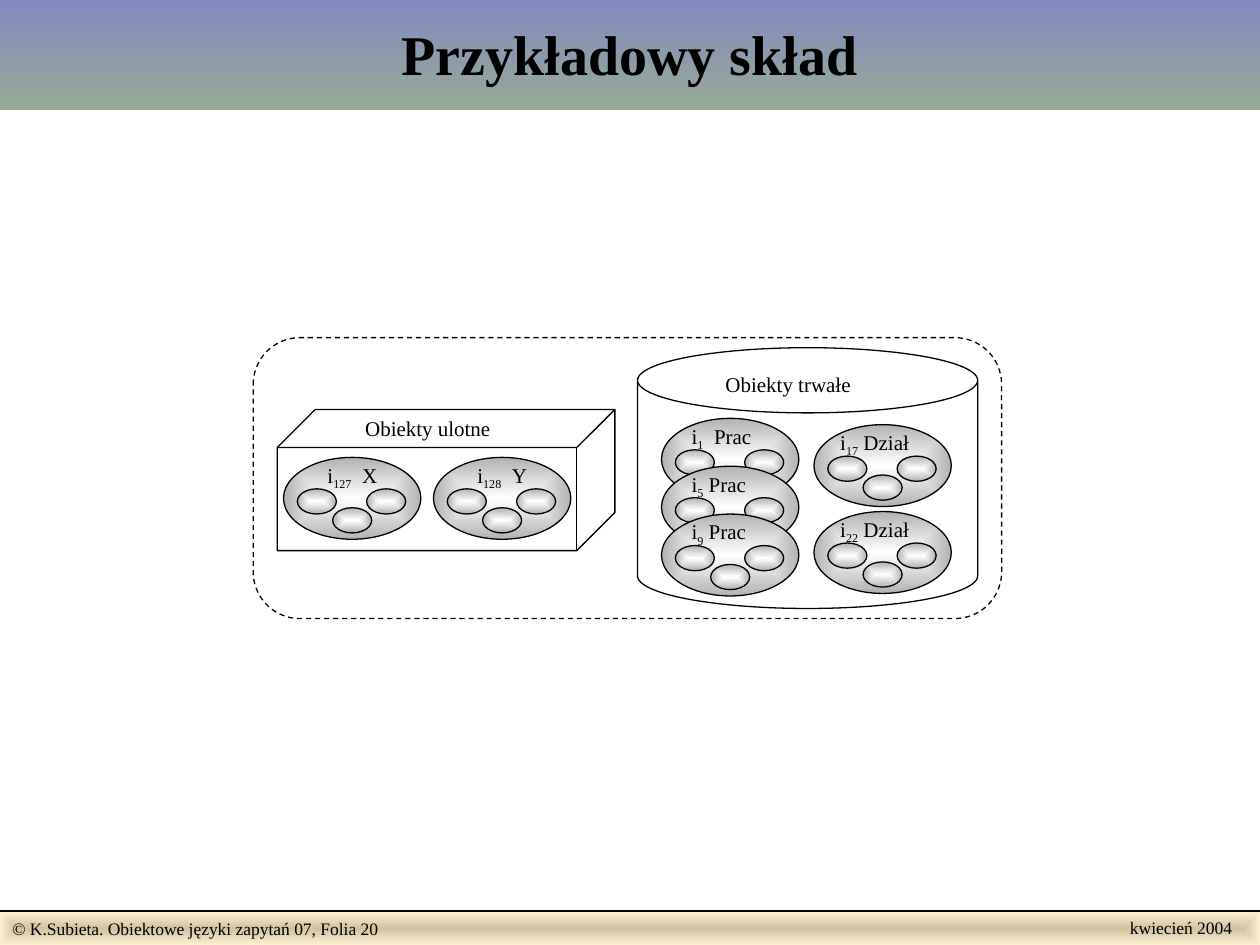
from dataclasses import dataclass

from pptx import Presentation
from pptx import util as u
from pptx.dml.color import RGBColor
from pptx.enum import dml, shapes, text
from pptx.oxml import parse_xml
from pptx.oxml.ns import nsdecls, qn


@dataclass(frozen=True)
class Theme:
    font: str = "Times New Roman"
    ink: str = "000000"
    paper: str = "FFFFFF"
    shade: str = "B2B2B2"
    title_top: str = "8488C4"
    title_bottom: str = "96AB94"
    footer_core: str = "D1C39F"
    footer_edge: str = "FFEFD1"
    title_size: int = 32
    label_size: int = 12
    footer_size: int = 10
    outline: float = 0.75
    rule: float = 1


@dataclass(frozen=True)
class StoredObject:
    """An object in the store; a wide gap separates index and name by twice a space."""
    left: float
    top: float
    index: str
    name: str
    label_offset: float
    label_width: float
    wide_gap: bool = False


THEME = Theme()
OBJECT_SIZE = (1.09, 0.65)
PART_SIZE = (0.31, 0.2)
PART_OFFSETS = ((0.11, 0.25), (0.66, 0.25), (0.39, 0.4))
STACK_TOP, STACK_STEP = 3.32, 0.38

PERSISTENT = [
    *(StoredObject(5.25, STACK_TOP + row * STACK_STEP, index, "Prac", 0.14, 0.75, wide)
      for row, (index, wide) in enumerate([("1", True), ("5", False), ("9", False)])),
    *(StoredObject(6.46, top, index, "Dział", 0.11, 0.82)
      for top, index in [(3.37, "17"), (4.06, "22")]),
]
VOLATILE = [
    StoredObject(left, 3.63, index, name, 0.25, 0.68, True)
    for left, index, name in [(2.25, "127", "X"), (3.44, "128", "Y")]
]


def rgb(value: str) -> RGBColor:
    return RGBColor.from_string(value)


def set_font(font, size: float, bold: bool = False) -> None:
    font.name = THEME.font
    font.size = u.Pt(size)
    font.bold = bold
    font.color.rgb = rgb(THEME.ink)


def fill_gradient(shape, first: str, last: str, from_centre: bool = True) -> None:
    shape.fill.gradient()
    for stop, colour, position in zip(shape.fill.gradient_stops, (first, last), (0, 1)):
        stop.color.rgb = rgb(colour)
        stop.position = position
    linear = shape._element.spPr.find(qn("a:gradFill")).find(qn("a:lin"))
    if from_centre:
        linear.getparent().replace(linear, parse_xml(
            f'<a:path {nsdecls("a")} path="rect">'
            '<a:fillToRect l="50000" t="50000" r="50000" b="50000"/></a:path>'))
    else:
        linear.set("ang", "5400000")


def add_outline(page, kind, left: float, top: float, width: float, height: float):
    """Add an unfilled shape with a thin dark line."""
    shape = page.shapes.add_shape(
        kind, u.Inches(left), u.Inches(top), u.Inches(width), u.Inches(height))
    shape.shadow.inherit = False
    shape.fill.background()
    shape.line.color.rgb = rgb(THEME.ink)
    shape.line.width = u.Pt(THEME.outline)
    return shape


def add_label(page, left: float, top: float, width: float, height: float,
              wording: str, size: float = THEME.label_size):
    box = page.shapes.add_textbox(
        u.Inches(left), u.Inches(top), u.Inches(width), u.Inches(height))
    box.text_frame.word_wrap = False
    box.text_frame.auto_size = text.MSO_AUTO_SIZE.NONE
    para = box.text_frame.paragraphs[0]
    para.text = wording
    para.alignment = text.PP_ALIGN.LEFT
    for span in para.runs:
        set_font(span.font, size)
    return para


def add_bubble(page, left: float, top: float, size: tuple[float, float]) -> None:
    bubble = add_outline(page, shapes.MSO_SHAPE.OVAL, left, top, *size)
    fill_gradient(bubble, THEME.paper, THEME.shade)


def add_object(page, item: StoredObject) -> None:
    add_bubble(page, item.left, item.top, OBJECT_SIZE)
    para = add_label(page, item.left + item.label_offset, item.top - 0.01,
                     item.label_width, 0.33, "i")
    for wording in (item.index, " ", item.name):
        span = para.add_run()
        span.text = wording
        set_font(span.font, THEME.label_size)
    index, gap = para.runs[1:3]
    index.font._element.set("baseline", "-25000")
    if item.wide_gap:
        gap.font._element.set("spc", "300")
    for across, down in PART_OFFSETS:
        add_bubble(page, item.left + across, item.top + down, PART_SIZE)


def add_title(page) -> None:
    title = page.shapes.title
    title.left, title.top = u.Inches(0), u.Inches(-0.03)
    title.width, title.height = u.Inches(10), u.Inches(0.9)
    fill_gradient(title, THEME.title_top, THEME.title_bottom, from_centre=False)
    frame = title.text_frame
    frame.text = "Przykładowy skład"
    frame.auto_size = text.MSO_AUTO_SIZE.NONE
    frame.vertical_anchor = text.MSO_ANCHOR.MIDDLE
    para = frame.paragraphs[0]
    para.alignment = text.PP_ALIGN.CENTER
    set_font(para.runs[0].font, THEME.title_size, bold=True)


def add_footer(page) -> None:
    band = add_outline(page, shapes.MSO_SHAPE.RECTANGLE, 0, 7.24, 10, 0.26)
    fill_gradient(band, THEME.footer_core, THEME.footer_edge)
    band.line.fill.background()
    band.text_frame.text = "© K.Subieta. Obiektowe języki zapytań 07, Folia 20"
    band.text_frame.vertical_anchor = text.MSO_ANCHOR.TOP
    para = band.text_frame.paragraphs[0]
    para.alignment = text.PP_ALIGN.LEFT
    set_font(para.runs[0].font, THEME.footer_size)

    rule = page.shapes.add_connector(
        shapes.MSO_CONNECTOR.STRAIGHT,
        u.Inches(0), u.Inches(7.23), u.Inches(10), u.Inches(7.23))
    rule.line.color.rgb = rgb(THEME.ink)
    rule.line.width = u.Pt(THEME.rule)
    rule._element.spPr.append(parse_xml(f'<a:effectLst {nsdecls("a")}/>'))
    add_label(page, 8.87, 7.23, 1.1, 0.27, "kwiecień 2004", THEME.footer_size)


def add_store(page) -> None:
    can = add_outline(page, shapes.MSO_SHAPE.CAN, 5.06, 2.76, 2.7, 2.07)
    can.adjustments[0] = 0.25
    can.fill.solid()
    can.fill.fore_color.rgb = rgb(THEME.paper)
    for item in PERSISTENT:
        add_object(page, item)
    add_label(page, 5.66, 2.9, 1.3, 0.3, "Obiekty trwałe")

    cube = add_outline(page, shapes.MSO_SHAPE.CUBE, 2.2, 3.25, 2.68, 1.12)
    cube.adjustments[0] = 0.27
    for item in VOLATILE:
        add_object(page, item)
    add_label(page, 2.8, 3.25, 1.3, 0.3, "Obiekty ulotne")

    border = add_outline(page, shapes.MSO_SHAPE.ROUNDED_RECTANGLE, 2.01, 2.68, 5.94, 2.23)
    border.line.dash_style = dml.MSO_LINE.DASH


def main() -> None:
    deck = Presentation()
    deck.slide_width, deck.slide_height = u.Inches(10), u.Inches(7.5)
    page = deck.slides.add_slide(deck.slide_layouts[5])
    add_footer(page)
    add_title(page)
    add_store(page)
    deck.save("out.pptx")


if __name__ == "__main__":
    main()
